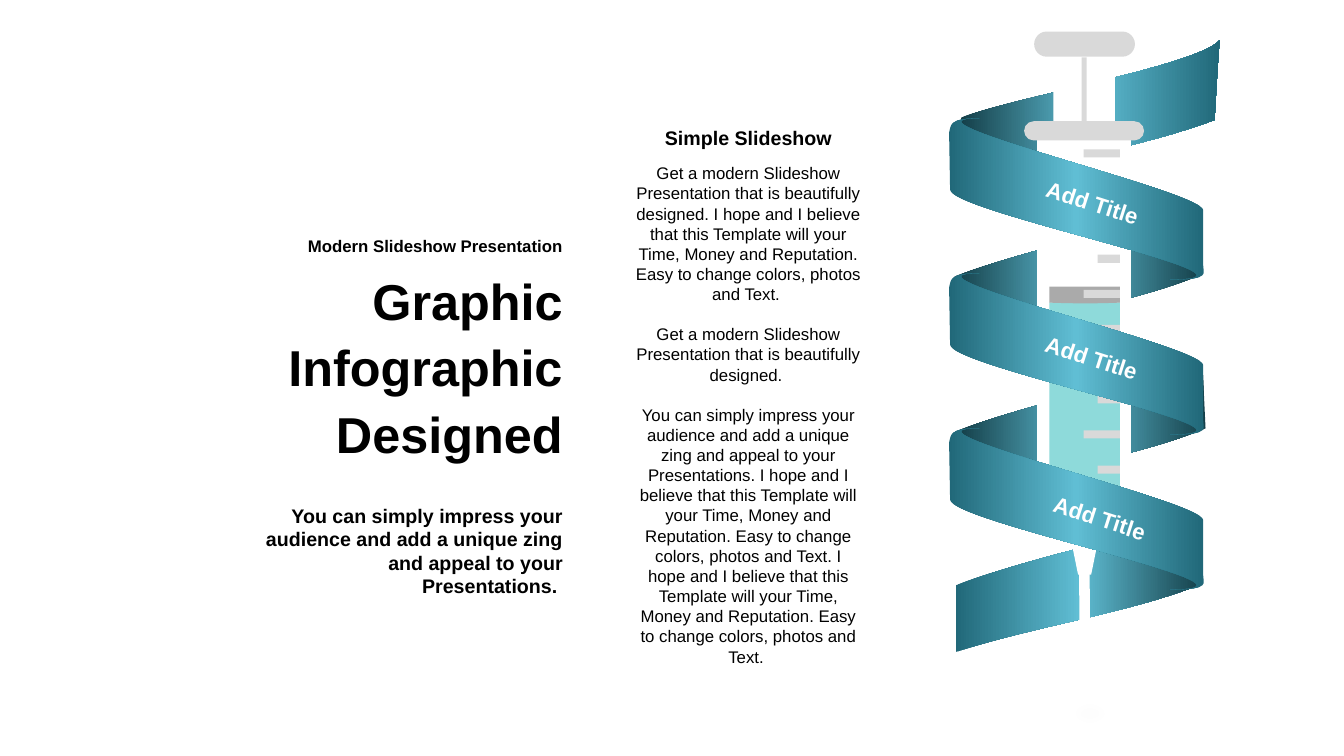
from copy import deepcopy

from lxml.etree import SubElement
from pptx import Presentation
from pptx.dml.color import RGBColor
from pptx.enum.shapes import MSO_SHAPE
from pptx.enum.text import MSO_ANCHOR, PP_ALIGN
from pptx.oxml.ns import qn
from pptx.util import Pt

WHITE, GREY, BLACK = "FFFFFF", "D9D9D9", "000000"
DEEP, TEAL, SKY = "143F49", "216879", "60BED4"

BACK_BAND = [
    [(176.4, 44.6)],
    [(126, 65.5), (56.9, 74.8), (0, 93.6)],
    [(0, 46)],
    [(39.6, 30.9), (121.7, 10), (174.3, 0)],
]
TOP_BAND = [
    [(181.4, 56.9)],
    [(123.1, 78.5), (61.2, 86.4), (0, 103)],
    [(0, 55.4)],
    [(39.6, 40.3), (169.2, 18), (185, 0)],
    [(183.6, 18), (182.8, 32.4), (181.4, 56.9)],
]
FRONT_BAND = [
    [(0, 159.9)],
    [(-0.7, 229), (52.6, 0), (65.5, 0)],
    [(105.1, 0)],
    [(110.2, 0.7), (115.2, -7.2), (115.2, 23.8)],
    [(115.2, -64), (67, 179.3), (51.1, 180.8)],
    [(10.1, 181.5)],
    [(5, 180), (0, 182.2), (0, 159.9)],
]


def color(code):
    """Return the colour for a hex string."""
    return RGBColor.from_string(code)


class Painter:
    """Draws styled elements on one slide, with lengths in points."""

    def __init__(self, page, font):
        self.page, self.font = page, font

    def paint(self, shape, fill, angle=0):
        """Fill a shape with one colour, or with a tuple of gradient colours."""
        shape.shadow.inherit = False
        shape.line.fill.background()
        if isinstance(fill, str):
            shape.fill.solid()
            shape.fill.fore_color.rgb = color(fill)
            return shape
        shape.fill.gradient()
        shape.fill.gradient_angle = angle
        stops = shape.element.spPr.find(qn("a:gradFill")).find(qn("a:gsLst"))
        stops.append(deepcopy(stops[0]))
        for stop, place, code in zip(shape.fill.gradient_stops, (0, 0.5, 1), fill):
            stop.position = place
            stop.color.rgb = color(code)
        return shape

    def shape(self, kind, left, top, width, height, fill, adjust=None, rotation=0):
        """Add a preset shape."""
        shape = self.page.shapes.add_shape(kind, Pt(left), Pt(top), Pt(width), Pt(height))
        shape.rotation = rotation
        if adjust is not None:
            shape.adjustments[0] = adjust
        return self.paint(shape, fill)

    def outline(self, left, top, segments, fill, angle=0, rotation=0):
        """Add a closed outline; a segment of three points is a cubic curve."""
        places = [(Pt(left + segment[-1][0]), Pt(top + segment[-1][1]))
                  for segment in segments]
        builder = self.page.shapes.build_freeform(*places[0])
        builder.add_line_segments(places[1:], close=True)
        shape = builder.convert_to_shape()
        lines = list(shape.element.spPr.iter(qn("a:lnTo")))
        for line, segment in zip(lines, segments[1:]):
            if len(segment) == 3:
                line.tag = qn("a:cubicBezTo")
                for place, (x, y) in enumerate(segment[:2]):
                    point = deepcopy(line[-1])
                    point.set("x", str(Pt(x)))
                    point.set("y", str(Pt(y)))
                    line.insert(place, point)
        shape.rotation = rotation
        return self.paint(shape, fill, angle)

    def barrel(self, left, top, width, height, sag, fill):
        """Add an upright tube with a rounded bottom."""
        bottom = [(0.63 * width, height + sag), (0.4 * width, height + sag), (0, height)]
        self.outline(left, top, [[(0, 0)], [(width, 0)], [(width, height)], bottom], fill)

    def glow(self, left, top, width, height, alpha, softness):
        """Add a faint ellipse with soft edges."""
        ellipse = self.shape(MSO_SHAPE.OVAL, left, top, width, height, BLACK)
        properties = ellipse.element.spPr
        tone = properties.find(qn("a:solidFill"))[0]
        SubElement(tone, qn("a:alpha"), val=str(alpha * 1000))
        effects = properties.find(qn("a:effectLst"))
        SubElement(effects, qn("a:softEdge"), rad=str(Pt(softness)))

    def text(self, left, top, width, height, lines, size, align, bold=True,
             code=BLACK, rotation=0, anchor=MSO_ANCHOR.TOP, spacing=None, gap=0):
        """Add a wrapped text box with one paragraph per line given."""
        box = self.page.shapes.add_textbox(Pt(left), Pt(top), Pt(width), Pt(height))
        box.rotation = rotation
        frame = box.text_frame
        frame.word_wrap = True
        frame.vertical_anchor = anchor
        for index, line in enumerate(lines):
            para = frame.add_paragraph() if index else frame.paragraphs[0]
            layout = {"alignment": align, "line_spacing": spacing,
                      "space_before": Pt(gap if index else 0)}
            for name, value in layout.items():
                setattr(para, name, value)
            span = para.add_run()
            span.text = line
            style = {"name": self.font, "size": Pt(size), "bold": bold}
            for name, value in style.items():
                setattr(span.font, name, value)
            span.font.color.rgb = color(code)


def draw_syringe(painter):
    """Draw the syringe between the back and front bands."""
    rounded, rectangle = MSO_SHAPE.ROUNDED_RECTANGLE, MSO_SHAPE.RECTANGLE
    painter.shape(MSO_SHAPE.DIAGONAL_STRIPE, 743, 405.4, 71.3, 86.4, WHITE, 0.863, 320)
    painter.barrel(740.9, 100.1, 66.9, 265.7, 9, WHITE)
    painter.shape(rounded, 738.7, 22.5, 72, 18, GREY, 0.5)
    painter.shape(rectangle, 752.4, 41, 43.9, 49, WHITE)
    painter.shape(rectangle, 765.4, 370.8, 18.7, 18, WHITE)
    painter.shape(MSO_SHAPE.TRAPEZOID, 765.4, 387.4, 18.7, 23, WHITE, rotation=180)
    painter.shape(rounded, 731.5, 86.6, 85.7, 13.7, GREY, 0.5)
    painter.barrel(749.5, 216, 50.4, 139, 4.3, "8EDADA")
    painter.shape(rectangle, 772.6, 41, 3.6, 49, GREY)
    painter.barrel(749.5, 204.7, 50.4, 11.5, 0.7, "AAAAAA")
    for tick in range(10):
        width = 15.8 if tick % 2 else 25.9
        painter.shape(rectangle, 799.9 - width, 106.6 + 25.1 * tick, width, 5.8, GREY)
    painter.glow(735.1, 494.6, 86.4, 30.2, 5, 12)
    painter.glow(742.3, 496.8, 71.3, 25.2, 8, 12)


def main():
    """Build the slide and save it."""
    deck = Presentation()
    deck.slide_width, deck.slide_height = Pt(960), Pt(540)
    painter = Painter(deck.slides.add_slide(deck.slide_layouts[6]), "Arial")

    painter.outline(682.6, 372.2, BACK_BAND, (TEAL, SKY, DEEP))
    painter.outline(686.2, 28.8, TOP_BAND, (DEEP, SKY, TEAL))
    for left, top in ((684.7, 261.4), (681.8, 151.6)):
        painter.outline(left, top, BACK_BAND, (DEEP, SKY, DEEP))
    draw_syringe(painter)
    for index in (2, 0, 1):
        painter.outline(711.1, 51.4 + 110.7 * index, FRONT_BAND, (TEAL, SKY, TEAL),
                        angle=270, rotation=90)
    for left, top in ((714.2, 127.4), (713.5, 238.3), (719.3, 352.8)):
        painter.text(left, top, 108, 26.6, ["Add Title"], 16, PP_ALIGN.RIGHT,
                     code=WHITE, rotation=17.9)

    intro = "Get a modern Slideshow Presentation that is beautifully designed. "
    hope = ("I hope and I believe that this Template will your Time, Money and "
            "Reputation. Easy to change colors, photos and Text. ")
    impress = ("You can simply impress your audience and add a unique zing "
               "and appeal to your Presentations. ")
    painter.text(446.4, 112.9, 176.4, 370.8,
                 [intro + hope, intro, impress + hope + hope],
                 12, PP_ALIGN.CENTER, bold=False, gap=14.2)
    painter.text(446.4, 86.4, 176.4, 24.5, ["Simple Slideshow"], 14, PP_ALIGN.CENTER)
    painter.text(181.6, 190.5, 227.5, 138.2, ["Graphic Infographic Designed"], 36,
                 PP_ALIGN.RIGHT, anchor=MSO_ANCHOR.MIDDLE, spacing=1.1)
    painter.text(181.6, 164.9, 227.5, 22.3, ["Modern Slideshow Presentation"], 12,
                 PP_ALIGN.RIGHT)
    painter.text(182.4, 356.1, 226.8, 74.9, [impress], 14, PP_ALIGN.RIGHT)
    deck.save("out.pptx")


if __name__ == "__main__":
    main()
